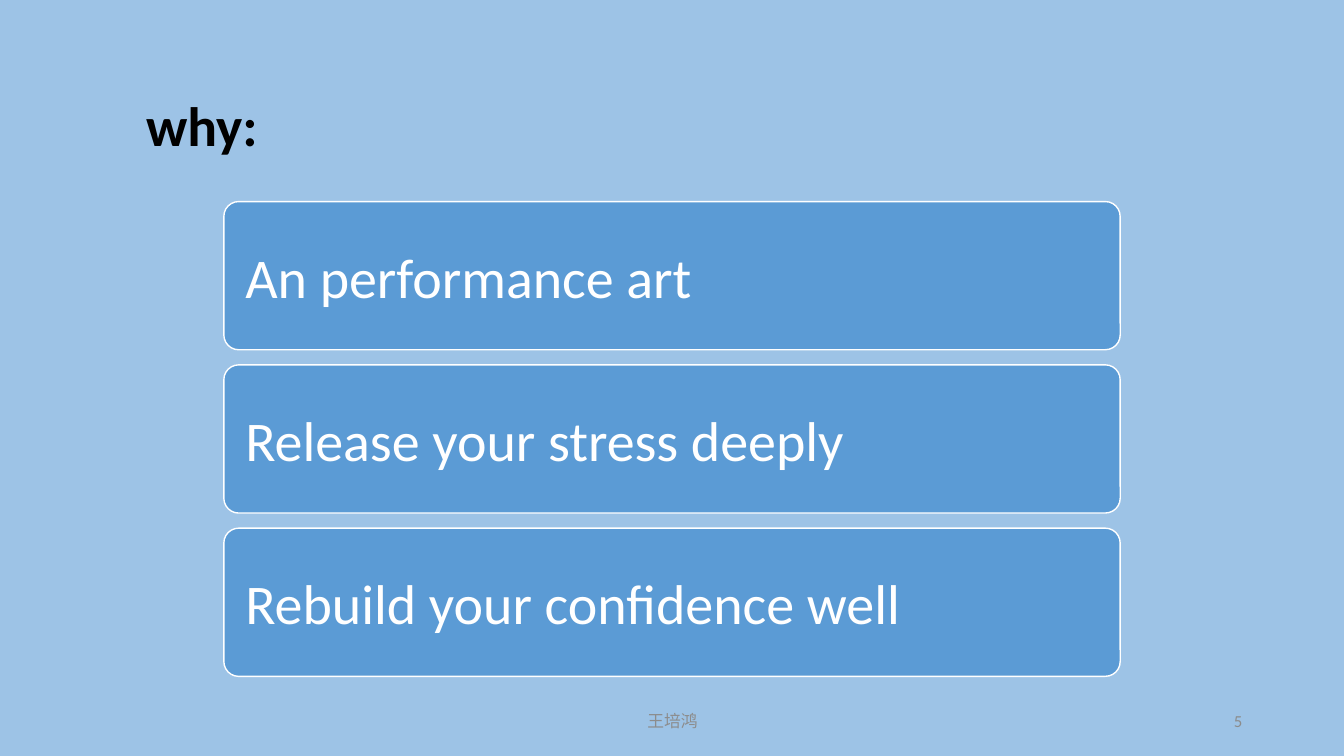
import pptx
import pptx.util
import pptx.dml.color
import pptx.enum.shapes
import pptx.enum.text

Inches = pptx.util.Inches
ALIGN = pptx.enum.text.PP_ALIGN

COLOURS = {
    "background": "9DC3E6",
    "card": "5B9BD5",
    "white": "FFFFFF",
    "title": "000000",
    "footer": "8C8C8C",
}
REASONS = [
    "An performance art",
    "Release your stress deeply",
    "Rebuild your confidence well",
]
CARD_LEFT, CARD_TOP, CARD_WIDTH, CARD_HEIGHT = 2.22, 2, 8.89, 1.47
CARD_STEP = 1.62
CARD_INSET = 0.17


def colour(name):
    return pptx.dml.color.RGBColor.from_string(COLOURS[name])


def write_text(shape, text, size, colour_name, align=ALIGN.LEFT, bold=False, spacing=1.0):
    """Put one formatted paragraph, vertically centred, into a shape."""
    frame = shape.text_frame
    frame.word_wrap = True
    frame.auto_size = pptx.enum.text.MSO_AUTO_SIZE.NONE
    frame.vertical_anchor = pptx.enum.text.MSO_ANCHOR.MIDDLE
    para = frame.paragraphs[0]
    para.alignment = align
    para.line_spacing = spacing
    span = para.add_run()
    span.text = text
    font_format = {"name": "Calibri", "size": pptx.util.Pt(size), "bold": bold}
    for attribute, value in font_format.items():
        setattr(span.font, attribute, value)
    span.font.color.rgb = colour(colour_name)


def add_title(page, text):
    title = page.shapes.title
    place = {"left": 1.35, "top": 0.55, "width": 11.5, "height": 1.45}
    for attribute, value in place.items():
        setattr(title, attribute, Inches(value))
    write_text(title, text, 39.6, "title", bold=True, spacing=0.9)


def add_footer(page, text, left, width, align):
    box = page.shapes.add_textbox(Inches(left), Inches(6.95), Inches(width), Inches(0.4))
    write_text(box, text, 12, "footer", align)


def add_card(page, text, top):
    card = page.shapes.add_shape(
        pptx.enum.shapes.MSO_SHAPE.ROUNDED_RECTANGLE,
        Inches(CARD_LEFT), Inches(top), Inches(CARD_WIDTH), Inches(CARD_HEIGHT),
    )
    card.adjustments[0] = 0.1
    card.shadow.inherit = False
    card.fill.solid()
    card.fill.fore_color.rgb = colour("card")
    card.line.color.rgb = colour("white")
    card.line.width = pptx.util.Pt(1)
    for side in ("left", "top", "right", "bottom"):
        setattr(card.text_frame, f"margin_{side}", Inches(CARD_INSET))
    write_text(card, text, 40, "white")


def main():
    deck = pptx.Presentation()
    deck.slide_width = Inches(13.33)
    deck.slide_height = Inches(7.5)
    page = deck.slides.add_slide(deck.slide_layouts.get_by_name("Title Only"))
    page.background.fill.solid()
    page.background.fill.fore_color.rgb = colour("background")

    add_title(page, "why:")
    add_footer(page, "5", 9.42, 3, ALIGN.RIGHT)
    add_footer(page, "王培鸿", 4.42, 4.5, ALIGN.CENTER)
    for index, reason in enumerate(REASONS):
        add_card(page, reason, CARD_TOP + index * CARD_STEP)

    deck.save("out.pptx")


if __name__ == "__main__":
    main()
